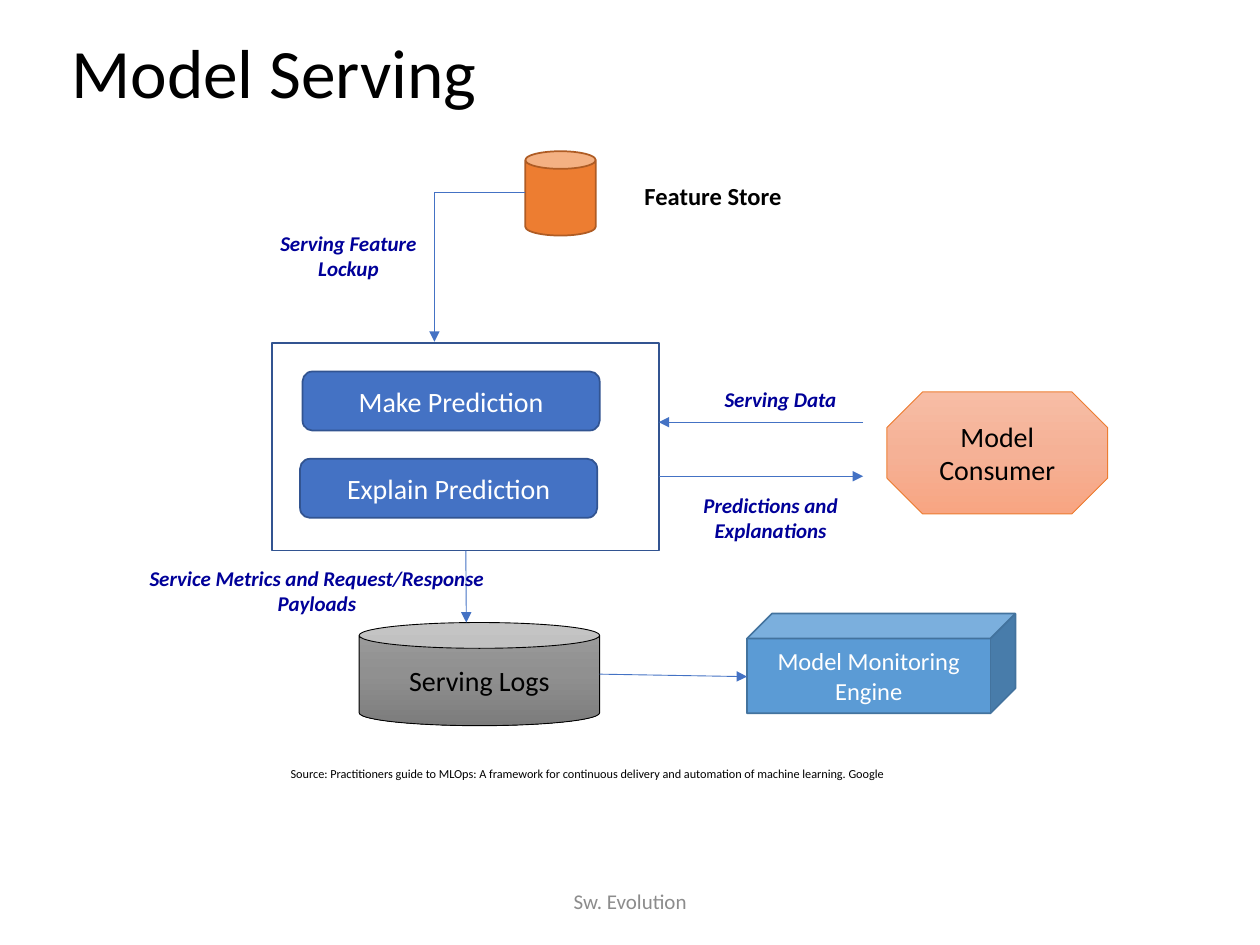
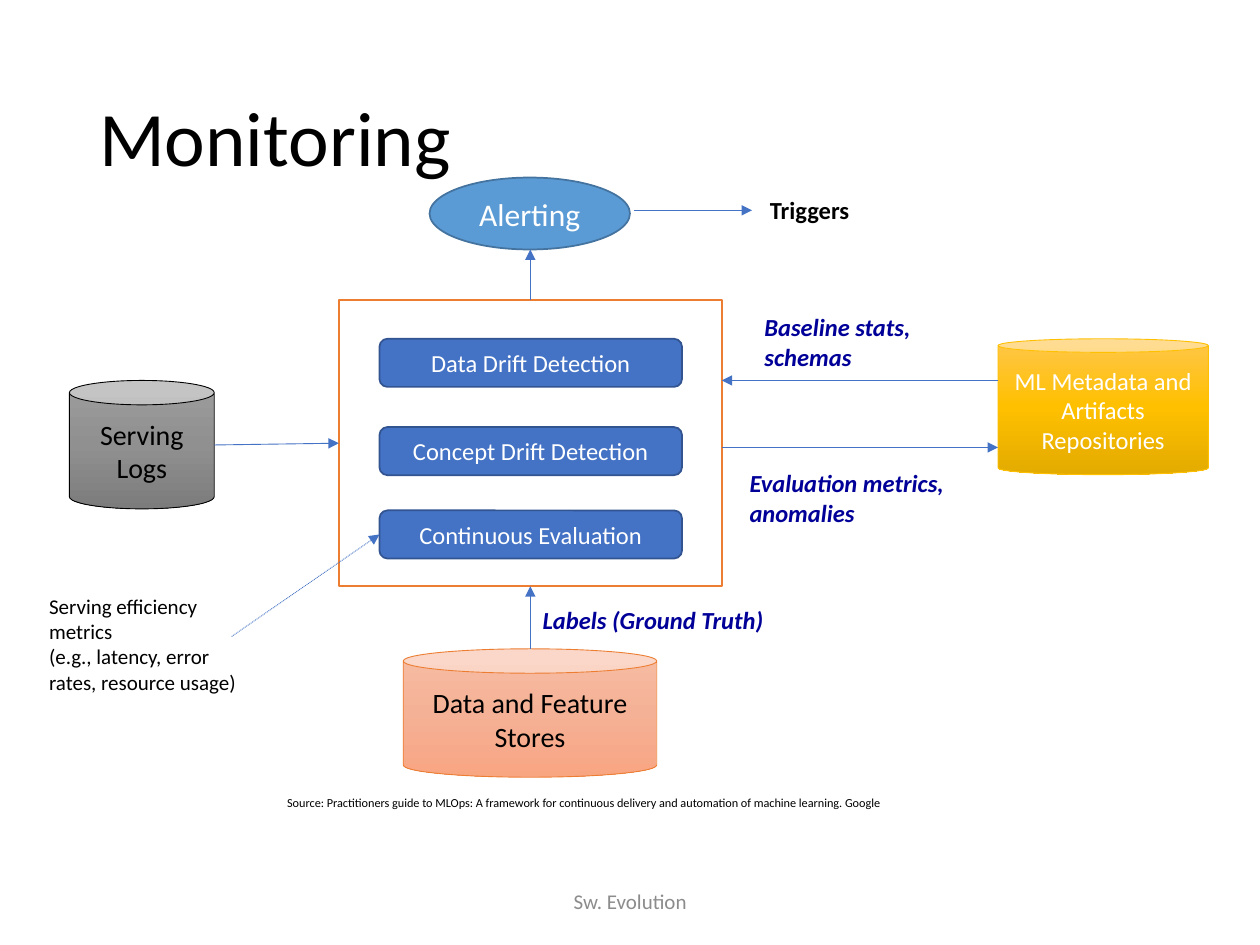
from copy import deepcopy
from dataclasses import dataclass

from lxml.etree import SubElement
from pptx import Presentation
from pptx.dml.color import RGBColor
from pptx.enum.dml import MSO_LINE
from pptx.enum.shapes import MSO_CONNECTOR, MSO_SHAPE
from pptx.enum.text import MSO_ANCHOR, MSO_AUTO_SIZE, PP_ALIGN
from pptx.oxml.ns import qn
from pptx.util import Cm, Pt


@dataclass(frozen=True)
class Paint:
    fill: tuple
    line: str
    text: str
    width: float = 1


@dataclass(frozen=True)
class Theme:
    font: str = "Calibri"
    ink: str = "000000"
    note: str = "000099"
    muted: str = "8C8C8C"
    arrow: str = "4472C4"
    hairline: float = 0.5
    heading: float = 44
    heading_small: float = 39.6
    large: float = 18
    body: float = 16
    label: float = 14
    small: float = 12
    source: float = 7
    step: Paint = Paint(("4472C4",), "325491", "FFFFFF")
    engine: Paint = Paint(("5B9BD5",), "43739E", "FFFFFF")
    store: Paint = Paint(("ED7D31",), "AF5C24", "FFFFFF")
    blue_frame: Paint = Paint((), "325491", "000000")
    orange_frame: Paint = Paint((), "ED7D31", "000000")
    peach: Paint = Paint(("F7BDA5", "F5B196", "F8A582"), "ED7D31", "000000", 0.5)
    grey: Paint = Paint(("9D9D9D", "909090", "7C7C7C"), "000000", "000000", 0.5)
    gold: Paint = Paint(("FFC64B", "FFC000", "E3AB00"), "FFC000", "FFFFFF", 0.5)


class Deck:
    def __init__(self, theme):
        self.theme = theme
        self.prs = Presentation()
        self.prs.slide_width, self.prs.slide_height = Cm(25.4), Cm(19.05)

    def slide(self, title, box, size, source_at):
        t = self.theme
        self.s = self.prs.slides.add_slide(self.prs.slide_layouts[6])
        tf = self.text(title, box, size, grow=False)
        tf.vertical_anchor = MSO_ANCHOR.MIDDLE
        tf.paragraphs[0].line_spacing = 0.9
        self.text("Source: Practitioners guide to MLOps: A framework for continuous "
                  "delivery and automation of machine learning. Google",
                  (*source_at, 14.48, 0.56), t.source)
        tf = self.text("Sw. Evolution", (8.41, 17.65, 8.59, 1.02), t.small,
                       t.muted, PP_ALIGN.CENTER, grow=False)
        tf.vertical_anchor = MSO_ANCHOR.MIDDLE

    def set_text(self, tf, text, size, color, align, bold=False, italic=False):
        tf.text = text
        for p in tf.paragraphs:
            p.alignment = align
            p.font.name, p.font.size = self.theme.font, Pt(size)
            p.font.bold, p.font.italic = bold, italic
            p.font.color.rgb = RGBColor.from_string(color)

    def text(self, text, box, size, color=None, align=PP_ALIGN.LEFT,
             bold=False, italic=False, grow=True, wrap=True):
        tf = self.s.shapes.add_textbox(*map(Cm, box)).text_frame
        tf.word_wrap = wrap
        tf.auto_size = MSO_AUTO_SIZE.SHAPE_TO_FIT_TEXT if grow else MSO_AUTO_SIZE.NONE
        self.set_text(tf, text, size, color or self.theme.ink, align, bold, italic)
        return tf

    def note(self, text, box, size, align=PP_ALIGN.LEFT, wrap=True):
        self.text(text, box, size, self.theme.note, align, True, True, wrap=wrap)

    def shape(self, kind, box, paint, text="", size=None, adj=None):
        sp = self.s.shapes.add_shape(kind, *map(Cm, box))
        sp.shadow.inherit = False
        if adj:
            sp.adjustments[0] = adj
        self.fill(sp, paint.fill)
        sp.line.color.rgb = RGBColor.from_string(paint.line)
        sp.line.width = Pt(paint.width)
        if text:
            tf = sp.text_frame
            tf.word_wrap = True
            tf.vertical_anchor = MSO_ANCHOR.MIDDLE
            self.set_text(tf, text, size or self.theme.body, paint.text, PP_ALIGN.CENTER)
        return sp

    def fill(self, sp, colors):
        if not colors:
            sp.fill.background()
        elif len(colors) == 1:
            sp.fill.solid()
            sp.fill.fore_color.rgb = RGBColor.from_string(colors[0])
        else:
            sp.fill.gradient()
            sp.fill.gradient_angle = 270
            stops = sp._element.spPr.find(".//" + qn("a:gsLst"))
            stops.insert(1, deepcopy(stops[0]))
            for i, (stop, color) in enumerate(zip(sp.fill.gradient_stops, colors)):
                stop.position = i / 2
                stop.color.rgb = RGBColor.from_string(color)

    def arrow(self, start, end, begin_at=None, end_at=None, elbow=False, dotted=False):
        kind = MSO_CONNECTOR.ELBOW if elbow else MSO_CONNECTOR.STRAIGHT
        c = self.s.shapes.add_connector(kind, *map(Cm, (*start, *end)))
        if begin_at:
            c.begin_connect(*begin_at)
        if end_at:
            c.end_connect(*end_at)
        c.line.color.rgb = RGBColor.from_string(self.theme.arrow)
        c.line.width = Pt(self.theme.hairline)
        if dotted:
            c.line.dash_style = MSO_LINE.ROUND_DOT
        spPr = c._element.spPr
        if elbow:
            spPr.find(qn("a:prstGeom")).set("prst", "bentConnector2")
        SubElement(spPr.find(qn("a:ln")), qn("a:tailEnd"), type="triangle")
        SubElement(spPr, qn("a:effectLst"))


def model_serving(d):
    t = d.theme
    d.slide("Model Serving", (1.19, 1.04, 21.79, 0.97), t.heading_small, (5.61, 15.32))
    frame = d.shape(MSO_SHAPE.RECTANGLE, (5.49, 6.91, 7.8, 4.19), t.blue_frame)
    for text, x, y in (("Make Prediction", 6.1, 7.49), ("Explain Prediction", 6.05, 9.25)):
        d.shape(MSO_SHAPE.ROUNDED_RECTANGLE, (x, y, 5.99, 1.19), t.step, text)
    d.shape(MSO_SHAPE.CAN, (10.59, 3.05, 1.42, 1.7), t.store)
    d.shape(MSO_SHAPE.OCTAGON, (17.88, 7.9, 4.45, 2.46), t.peach, "Model Consumer")
    d.shape(MSO_SHAPE.CAN, (7.24, 12.55, 4.85, 2.08), t.grey, "Serving Logs")
    d.shape(MSO_SHAPE.CUBE, (15.06, 12.37, 5.41, 2.01), t.engine,
            "Model Monitoring Engine", t.label)

    d.arrow((10.59, 3.89), (8.76, 6.89), elbow=True)
    d.arrow((17.4, 8.51), (13.28, 8.51))
    d.arrow((13.28, 9.6), (17.4, 9.6))
    d.arrow((9.39, 11.1), (9.4, 12.55), begin_at=(frame, 2))
    d.arrow((12.09, 13.59), (15.06, 13.64))

    d.text("Feature Store", (12.15, 3.53, 4.45, 0.86), t.label,
           align=PP_ALIGN.CENTER, bold=True)
    for text, box in (
        ("Serving Feature Lockup", (4.8, 4.52, 4.45, 1.27)),
        ("Serving Data", (13.51, 7.67, 4.45, 0.76)),
        ("Predictions and Explanations", (13.31, 9.8, 4.45, 1.27)),
        ("Service Metrics and Request/Response Payloads", (2.44, 11.28, 7.9, 1.27)),
    ):
        d.note(text, box, t.small, PP_ALIGN.CENTER)


def monitoring(d):
    t = d.theme
    d.slide("Monitoring", (1.75, 1.02, 21.89, 3.68), t.heading, (5.54, 15.9))
    frame = d.shape(MSO_SHAPE.RECTANGLE, (6.83, 6.05, 7.72, 5.77), t.orange_frame)
    for text, y in (("Data Drift Detection", 6.83), ("Concept Drift Detection", 8.61),
                    ("Continuous Evaluation", 10.29)):
        step = d.shape(MSO_SHAPE.ROUNDED_RECTANGLE, (7.65, y, 6.1, 0.97), t.step,
                       text, t.label)
    evaluation = step
    d.shape(MSO_SHAPE.CAN, (1.4, 7.67, 2.92, 2.59), t.grey, "Serving Logs", adj=0.19)
    d.shape(MSO_SHAPE.CAN, (8.13, 13.08, 5.11, 2.59), t.peach,
            "Data and Feature Stores", adj=0.19)
    d.shape(MSO_SHAPE.CAN, (20.12, 6.83, 4.24, 2.74), t.gold,
            "ML Metadata and Artifacts Repositories", t.label, adj=0.1)
    d.shape(MSO_SHAPE.OVAL, (8.66, 3.58, 4.04, 1.45), t.engine, "Alerting", t.large)

    d.arrow((4.32, 8.97), (6.83, 8.94), end_at=(frame, 1))
    d.arrow((10.69, 13.08), (10.69, 11.82), end_at=(frame, 2))
    d.arrow((10.69, 6.05), (10.69, 5.03), begin_at=(frame, 0))
    d.arrow((14.55, 9.02), (20.12, 9.02))
    d.arrow((20.12, 7.67), (14.55, 7.67))
    d.arrow((12.78, 4.24), (15.16, 4.24))
    d.arrow((4.67, 12.83), (7.65, 10.78), end_at=(evaluation, 1), dotted=True)

    d.note("Labels (Ground Truth)", (10.69, 12.07, 4.98, 0.86), t.label, wrap=False)
    d.note("Baseline stats, schemas", (15.16, 6.17, 4.95, 1.45), t.label)
    d.note("Evaluation metrics, anomalies", (14.86, 9.32, 4.95, 1.45), t.label)
    d.text("Triggers", (15.27, 3.81, 2.77, 0.86), t.label, bold=True)
    d.text("Serving efficiency metrics\n(e.g., latency, error rates, resource usage)",
           (0.74, 11.84, 4.78, 2.31), t.small)


def main():
    d = Deck(Theme())
    model_serving(d)
    monitoring(d)
    d.prs.save("out.pptx")


if __name__ == "__main__":
    main()
